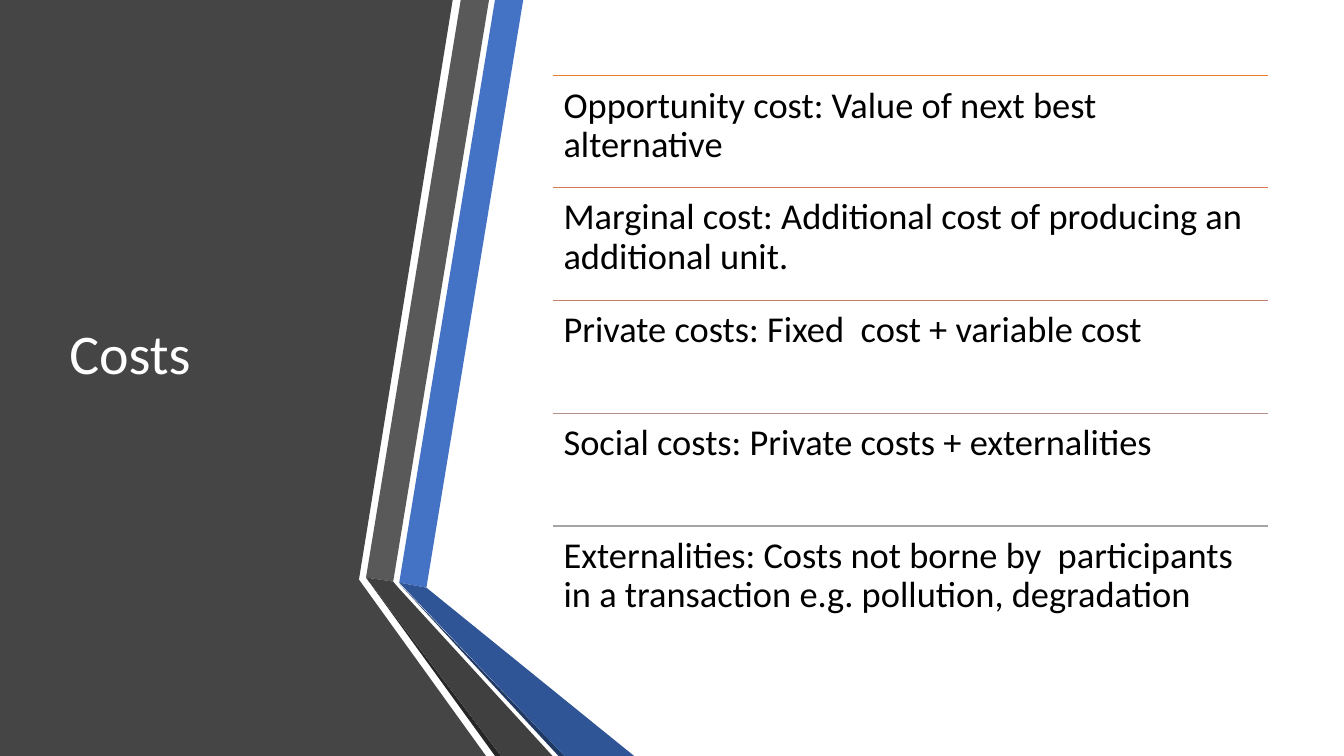
from lxml.etree import SubElement
from pptx import Presentation
from pptx.dml.color import RGBColor
from pptx.enum.shapes import MSO_CONNECTOR
from pptx.enum.text import MSO_ANCHOR
from pptx.oxml.ns import qn
from pptx.util import Pt

PX = 9144
WIDE, HIGH = 1333, 750
LEFT, RIGHT, TOP = 548, 1258, 75

BANDS = [
    ("454545", [(0, 0), (449, 0), (356, 575), (482, 750), (0, 750)]),
    ("4472C4", [(396, 578), (423, 583), (519, 0), (491, 0)]),
    ("595959", [(485, 0), (457, 0), (363, 573), (390, 577)]),
    ("262626", [(363, 573), (491, 750), (497, 750)]),
    ("203864", [(396, 579), (554, 750), (560, 750)]),
    ("2F5597", [(396, 578), (560, 750), (629, 750), (423, 583)]),
    ("404040", [(548, 750), (395, 583), (390, 577), (363, 573), (497, 750)]),
]

COSTS = [
    ("ED7D31", "Opportunity cost: Value of next best alternative"),
    ("D87A51", "Marginal cost: Additional cost of producing an additional unit."),
    ("C48170", "Private costs: Fixed  cost + variable cost"),
    ("B4908B", "Social costs: Private costs + externalities"),
    ("A5A5A5", "Externalities: Costs not borne by  participants in a transaction "
               "e.g. pollution, degradation"),
]


def color(code):
    return RGBColor.from_string(code)


def add_band(slide, code, points):
    pen = slide.shapes.build_freeform(*points[0], scale=PX)
    pen.add_line_segments(points[1:], close=True)
    band = pen.convert_to_shape()
    band.shadow.inherit = False
    band.fill.solid()
    band.fill.fore_color.rgb = color(code)
    band.line.fill.background()


def add_rule(slide, top, code):
    rule = slide.shapes.add_connector(
        MSO_CONNECTOR.STRAIGHT, LEFT * PX, top * PX, RIGHT * PX, top * PX)
    rule.line.color.rgb = color(code)
    rule.line.width = Pt(1)
    SubElement(rule._element.spPr, qn("a:effectLst"))


def add_label(slide, area, text, size, code, inset, anchor):
    box = slide.shapes.add_textbox(*(side * PX for side in area))
    frame = box.text_frame
    frame.word_wrap = True
    frame.vertical_anchor = anchor
    frame.margin_left = frame.margin_right = inset * PX
    frame.margin_top = frame.margin_bottom = inset * PX
    frame.text = text
    para = frame.paragraphs[0]
    para.line_spacing = 0.9
    font = para.runs[0].font
    font.name = "Calibri"
    font.size = Pt(size)
    font.color.rgb = color(code)


def main():
    deck = Presentation()
    deck.slide_width, deck.slide_height = WIDE * PX, HIGH * PX
    slide = deck.slides.add_slide(deck.slide_layouts[6])
    for code, points in BANDS:
        add_band(slide, code, points)
    add_label(slide, (59, 75, 304, 558), "Costs", 40, "FFFFFF", 10,
              MSO_ANCHOR.MIDDLE)
    for row, (code, text) in enumerate(COSTS):
        top = TOP + row * 447 // 4
        add_rule(slide, top, code)
        add_label(slide, (LEFT, top, RIGHT - LEFT, 112), text, 26, "000000",
                  11, MSO_ANCHOR.TOP)
    deck.save("out.pptx")


if __name__ == "__main__":
    main()
